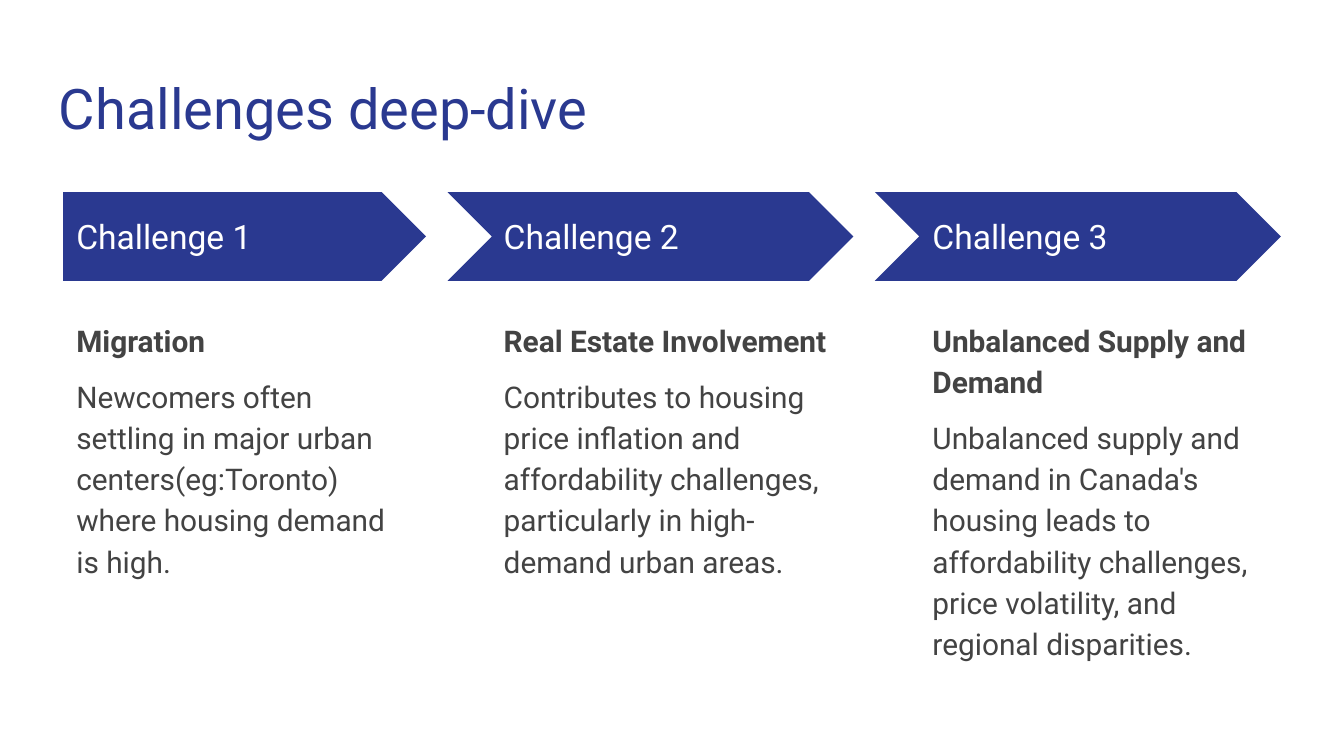
from pptx import Presentation
from pptx.dml.color import RGBColor
from pptx.enum.shapes import MSO_SHAPE as Shape
from pptx.enum.text import MSO_ANCHOR as Anchor
from pptx.util import Inches, Pt

COLORS = {"blue": "2A3990", "white": "FFFFFF", "gray": "434343"}

# Grid: three columns, with an arrow row above a text row
TEXT_LEFTS, COLUMN_WIDTH = (0.47, 3.65, 6.84), 2.7
ARROW_LEFT, ARROW_PITCH, NOTCH = 0.47, 3.18, 0.32
ARROW_TOP, ARROW_HEIGHT = 1.43, 0.66
LABEL_WIDTH, LABEL_HEIGHT = 2.47, 0.34
LABEL_TOP = ARROW_TOP + (ARROW_HEIGHT - LABEL_HEIGHT) / 2
BODY_TOP, BODY_HEIGHT = 2.26, 2.9

TITLE = {"size": Pt(30), "color": "blue"}
LABEL = {"size": Pt(18), "color": "white"}
HEADING = {"size": Pt(16), "color": "gray", "bold": True}
DETAIL = {"size": Pt(16), "color": "gray", "bold": False}
LEADING = {"line_spacing": 1.15}
SPACED = {"line_spacing": 1.15, "space_before": Pt(8), "space_after": Pt(8)}

CHALLENGES = [
    ("Migration",
     "Newcomers often settling in major urban centers(eg:Toronto) "
     "where housing demand is high."),
    ("Real Estate Involvement",
     "Contributes to housing price inflation and affordability challenges, "
     "particularly in high-demand urban areas."),
    ("Unbalanced Supply and Demand",
     "Unbalanced supply and demand in Canada's housing leads to affordability "
     "challenges, price volatility, and regional disparities."),
]


def add_text(box, paragraphs, anchor=Anchor.TOP):
    """Add a text box holding (text, font format, paragraph format) items."""
    frame = slide.shapes.add_textbox(*map(Inches, box)).text_frame
    frame_format = {"word_wrap": True, "vertical_anchor": anchor}
    for side in ("left", "top", "right", "bottom"):
        frame_format[f"margin_{side}"] = Inches(0.1)
    for name, value in frame_format.items():
        setattr(frame, name, value)
    for index, (text, font_format, spacing) in enumerate(paragraphs):
        paragraph = frame.add_paragraph() if index else frame.paragraphs[0]
        for name, value in spacing.items():
            setattr(paragraph, name, value)
        run = paragraph.add_run()
        run.text = text
        run.font.name = "Roboto"
        for name, value in font_format.items():
            if name == "color":
                run.font.color.rgb = RGBColor.from_string(COLORS[value])
            else:
                setattr(run.font, name, value)


# Widescreen 16:9 slide
presentation = Presentation()
presentation.slide_width = Inches(10)
presentation.slide_height = Inches(10 * 9 / 16)
slide = presentation.slides.add_slide(presentation.slide_layouts[6])

# Title
add_text((0.34, 0.45, 9.32, 0.66), [("Challenges deep-dive", TITLE, {})])

# Challenge columns
for column, (heading, detail) in enumerate(CHALLENGES):
    # Arrow: every one after the first reaches left by its notch
    kind, overhang = (Shape.CHEVRON, NOTCH) if column else (Shape.PENTAGON, 0)
    arrow = slide.shapes.add_shape(
        kind, Inches(ARROW_LEFT + column * ARROW_PITCH - overhang),
        Inches(ARROW_TOP), Inches(COLUMN_WIDTH + overhang),
        Inches(ARROW_HEIGHT))
    arrow.shadow.inherit = False
    arrow.fill.solid()
    arrow.fill.fore_color.rgb = RGBColor.from_string(COLORS["blue"])
    arrow.line.fill.background()

    # Label and description
    left = TEXT_LEFTS[column]
    add_text((left, LABEL_TOP, LABEL_WIDTH, LABEL_HEIGHT),
             [(f"Challenge {column + 1}", LABEL, {})], Anchor.MIDDLE)
    add_text((left, BODY_TOP, COLUMN_WIDTH, BODY_HEIGHT),
             [(heading, HEADING, LEADING), (detail, DETAIL, SPACED)])

presentation.save("out.pptx")
